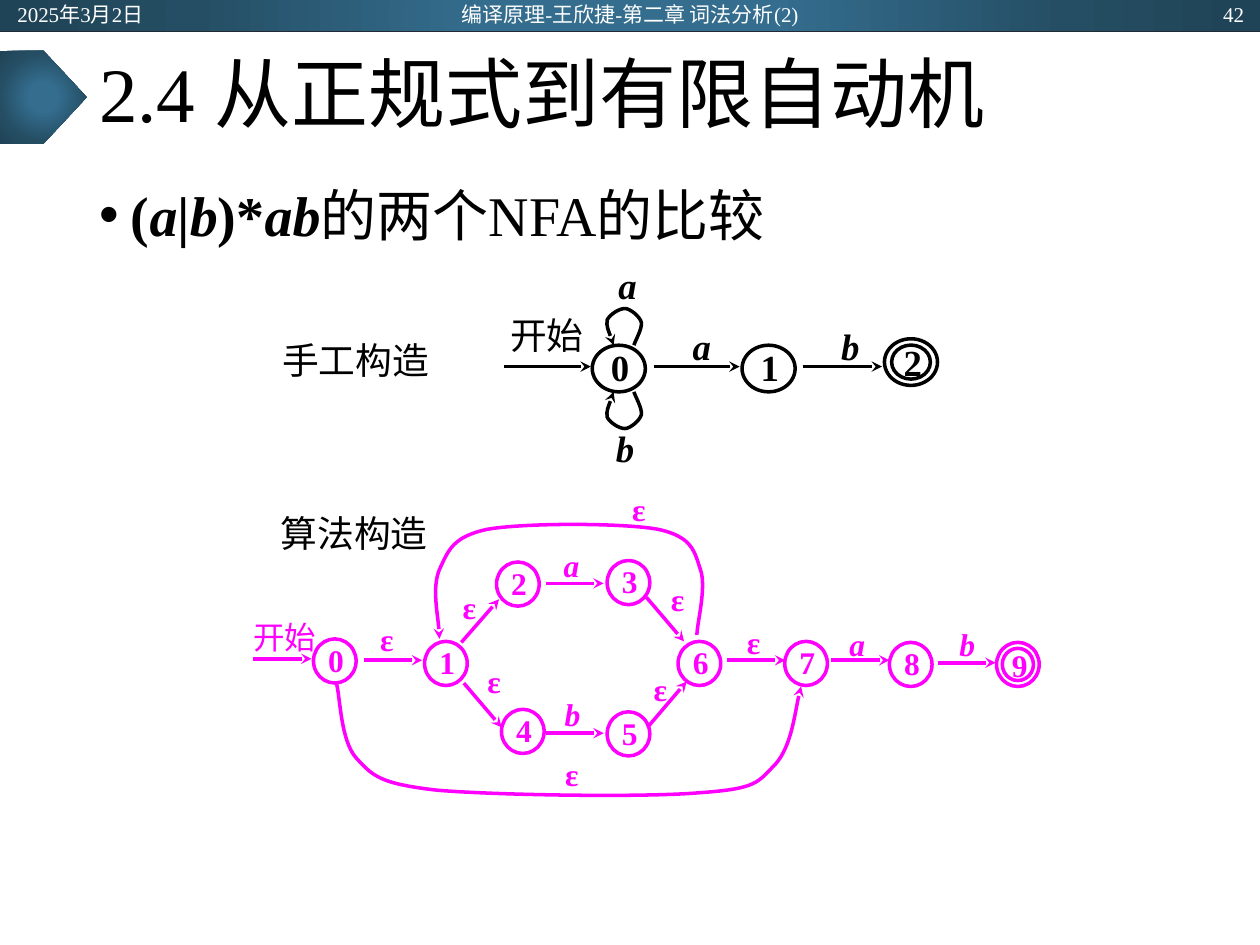
from dataclasses import dataclass

from lxml.etree import SubElement
from pptx import Presentation
from pptx.dml.color import RGBColor
from pptx.enum.shapes import MSO_CONNECTOR as Connector, MSO_SHAPE as Preset
from pptx.enum.text import MSO_ANCHOR as Anchor, PP_ALIGN as Align
from pptx.oxml import parse_xml
from pptx.oxml.ns import nsdecls, qn
from pptx.util import Cm, Pt


@dataclass(frozen=True)
class Theme:
    font: str = "Times New Roman"
    ink: str = "000000"
    light: str = "FFFFFF"
    accent: str = "FF00FF"
    rule: str = "222A35"
    gradient: tuple = ((0, "346D8E"), (23, "346D8E"), (69, "254E64"), (97, "204457"))
    title: int = 44
    body: int = 32
    large: int = 21
    medium: int = 18
    small: int = 12
    stroke: float = 2
    hairline: float = 0.5


THEME = Theme()
BOX_INSETS = (0.25, 0.13, 0.25, 0.13)
LABEL_INSETS = (0.1, 0.05, 0.1, 0.05)
STATE_INSETS = (0.1, 0.05, 0.05, 0.1)
FINAL_INSETS = (0.1, 0, 0.03, 0)
INNER_RATIO = 0.73


def add_span(para, text, size, color=THEME.ink, bold=False, italic=False):
    span = para.add_run()
    span.text = text
    font = span.font
    font.name, font.size, font.bold, font.italic = THEME.font, Pt(size), bold, italic
    font.color.rgb = RGBColor.from_string(color)


class SlideBuilder:
    """Draws the elements of the current slide in one style."""

    def __init__(self, slide):
        self.slide = slide
        self.shapes = slide.shapes
        self.color, self.size = THEME.ink, THEME.large

    def start_diagram(self, color, size):
        self.color, self.size = color, size
        self.shapes = self.slide.shapes.add_group_shape().shapes

    def end_diagram(self):
        self.shapes = self.slide.shapes
        self.color, self.size = THEME.ink, THEME.large

    def frame(self, shape, insets, anchor, align):
        frame = shape.text_frame
        frame.word_wrap = True
        frame.vertical_anchor = anchor
        (frame.margin_left, frame.margin_top,
         frame.margin_right, frame.margin_bottom) = map(Cm, insets)
        para = frame.paragraphs[0]
        para.alignment = align
        return para

    def text(self, area, spans=(), insets=BOX_INSETS, anchor=Anchor.MIDDLE,
             align=Align.LEFT, **style):
        box = self.shapes.add_textbox(*map(Cm, area))
        para = self.frame(box, insets, anchor, align)
        for words in [spans] if isinstance(spans, str) else spans:
            add_span(para, words, **style)
        return para

    def label(self, words, left, top, width, height, **style):
        self.text((left, top, width, height), words, LABEL_INSETS, align=Align.CENTER,
                  size=self.size, color=self.color, **style)

    def gradient(self, preset, area):
        shape = self.shapes.add_shape(preset, *map(Cm, area))
        shape.shadow.inherit = False
        shape.line.fill.background()
        shape.fill.background()
        stops = "".join(f'<a:gs pos="{place * 1000}"><a:srgbClr val="{color}"/></a:gs>'
                        for place, color in THEME.gradient)
        fill = parse_xml(
            f'<a:gradFill {nsdecls("a")} rotWithShape="1"><a:gsLst>{stops}</a:gsLst>'
            '<a:path path="circle"><a:fillToRect l="50000" t="50000" r="50000" b="50000"/>'
            '</a:path></a:gradFill>')
        properties = shape.element.spPr
        properties.replace(properties.find(qn("a:noFill")), fill)

    def stroke(self, shape, color, width=THEME.stroke, arrow=False):
        shape.line.color.rgb = RGBColor.from_string(color)
        shape.line.width = Pt(width)
        if arrow:
            SubElement(shape.element.spPr.find(qn("a:ln")), qn("a:tailEnd"), type="stealth")

    def line(self, start, end, color, width):
        line = self.shapes.add_connector(Connector.STRAIGHT, *map(Cm, (*start, *end)))
        self.stroke(line, color, width)
        SubElement(line.element.spPr, qn("a:effectLst"))
        return line

    def arrow(self, start, end):
        line = self.line(start, end, self.color, THEME.stroke)
        SubElement(line.element.spPr.find(qn("a:ln")), qn("a:tailEnd"), type="stealth")

    def curve(self, points):
        start, *rest = [(Cm(x), Cm(y)) for x, y in points]
        builder = self.shapes.build_freeform(*start)
        builder.add_line_segments(rest, close=False)
        shape = builder.convert_to_shape()
        shape.shadow.inherit = False
        shape.fill.background()
        self.stroke(shape, self.color, arrow=True)
        outline = next(shape.element.iter(qn("a:path")))
        segments = outline.findall(qn("a:lnTo"))
        for first in range(0, len(segments), 3):
            bezier = SubElement(outline, qn("a:cubicBezTo"))
            for segment in segments[first:first + 3]:
                bezier.append(segment[0])
                outline.remove(segment)

    def ellipse(self, left, top, width, height):
        shape = self.shapes.add_shape(Preset.OVAL, *map(Cm, (left, top, width, height)))
        shape.shadow.inherit = False
        shape.fill.background()
        self.stroke(shape, self.color)
        return shape

    def state(self, name, left, top, width, height, final=False):
        shape = self.ellipse(left, top, width, height)
        if final:
            margin = (1 - INNER_RATIO) / 2
            shape = self.ellipse(left + width * margin, top + height * margin,
                                 width * INNER_RATIO, height * INNER_RATIO)
        insets = FINAL_INSETS if final else STATE_INSETS
        para = self.frame(shape, insets, Anchor.MIDDLE, Align.CENTER)
        add_span(para, name, self.size, self.color, bold=True)


def draw_headings(page):
    page.gradient(Preset.RECTANGLE, (0, 0, 25.4, 0.64))
    page.line((0, 0.64), (25.4, 0.64), THEME.rule, THEME.hairline)
    page.gradient(Preset.PENTAGON, (0, 1.02, 1.75, 1.88))
    title = page.text((1.75, 0.64, 21.9, 2.64), "2.4 从正规式到有限自动机", size=THEME.title)
    title.line_spacing = 0.9
    body = page.text((1.75, 3.5, 21.9, 13.66), anchor=Anchor.TOP)
    properties = body._p.get_or_add_pPr()
    properties.set("marL", str(Cm(0.64)))
    properties.set("indent", str(Cm(-0.64)))
    SubElement(properties, qn("a:buFont"), typeface="Arial")
    SubElement(properties, qn("a:buChar"), char="•")
    for words, italic in (("(", False), ("a", True), ("|", False), ("b", True),
                          (")*", False), ("ab", True)):
        add_span(body, words, THEME.body, bold=True, italic=italic)
    add_span(body, "的两个NFA的比较", THEME.body)
    for words, left, width, align in (
            ("2025年3月2日", 0.1, 5.72, Align.LEFT),
            ("编译原理-王欣捷-第二章 词法分析(2)", 8.41, 8.58, Align.CENTER),
            ("42", 19.61, 5.72, Align.RIGHT)):
        page.text((left, 0.03, width, 0.51), words, align=align,
                  size=THEME.small, color=THEME.light)
    for words, left, top in (("手工构造", 5.59, 6.76), ("算法构造", 5.56, 10.24)):
        page.text((left, top, 3.51, 1.02), words, LABEL_INSETS, Anchor.TOP,
                  Align.JUSTIFY, size=THEME.large)


def draw_manual(page):
    page.start_diagram(THEME.ink, THEME.large)
    for name, left, top in (("0", 11.94, 6.96), ("1", 14.96, 6.96), ("2", 17.83, 6.83)):
        page.state(name, left, top, 1.07, 0.94, final=name == "2")
    for start, end in ((10.16, 11.91), (13.18, 14.91), (16.18, 17.78)):
        page.arrow((start, 7.39), (end, 7.39))
    loop = [(12.78, 6.96), (12.8, 6.88), (12.95, 6.63), (12.93, 6.5), (12.9, 6.38),
            (12.7, 6.22), (12.6, 6.22), (12.47, 6.22), (12.29, 6.35), (12.24, 6.45),
            (12.22, 6.58), (12.34, 6.86), (12.37, 6.96)]
    page.curve(loop)
    page.curve([(x, 14.86 - y) for x, y in loop])
    page.label("开始", 10.16, 6.3, 1.73, 0.89)
    for words, left, top in (("a", 13.72, 6.6), ("a", 12.22, 5.36),
                             ("b", 12.17, 8.64), ("b", 16.71, 6.6)):
        page.label(words, left, top, 0.86, 0.76, bold=True, italic=True)
    page.end_diagram()


def draw_algorithmic(page):
    page.start_diagram(THEME.accent, THEME.medium)
    places = ((6.32, 12.88), (8.56, 12.93), (10.01, 11.33), (12.24, 11.3), (10.11, 14.3),
              (12.24, 14.35), (13.67, 12.93), (15.82, 12.93), (17.93, 12.95), (20.09, 12.95))
    for number, (left, top) in enumerate(places):
        page.state(str(number), left, top, 0.86, 0.89, final=number == 9)
    for x, y in ((5.11, 13.28), (7.34, 13.31), (11, 11.76), (11, 14.78),
                 (14.66, 13.31), (16.76, 13.31), (18.9, 13.36)):
        page.arrow((x, y), (x + 1.17, y))
    for x, y, drop in ((9.3, 12.95, -0.87), (9.35, 13.77, 0.89),
                       (13.03, 12.04, 0.89), (13.08, 14.63, -0.89)):
        page.arrow((x, y), (x + 0.76, y + drop))
    page.curve([(6.78, 13.77), (6.86, 14.02), (6.86, 14.94), (7.19, 15.29), (7.52, 15.65),
                (7.67, 15.8), (8.81, 15.93), (9.98, 16.03), (13, 16.08), (14.12, 15.98),
                (15.27, 15.9), (15.27, 15.77), (15.62, 15.42), (15.95, 15.06),
                (16.05, 14.17), (16.15, 13.84)])
    page.curve([(14.05, 12.8), (14.05, 12.57), (14.25, 11.84), (14.12, 11.48), (14, 11.13),
                (13.97, 10.82), (13.26, 10.67), (12.55, 10.54), (10.57, 10.54), (9.83, 10.67),
                (9.12, 10.82), (9.04, 11.1), (8.86, 11.48), (8.71, 11.84),
                (8.86, 12.57), (8.86, 12.88)])
    page.label("开始", 4.65, 12.42, 2.18, 0.84)
    for words, left, top in (
            ("ε", 7.42, 12.52), ("ε", 9.08, 11.86), ("ε", 9.58, 13.36), ("ε", 13.28, 11.71),
            ("ε", 12.93, 13.51), ("ε", 11.15, 15.24), ("ε", 14.81, 12.57), ("ε", 12.5, 9.88),
            ("a", 11.14, 11.02), ("b", 11.16, 14.02), ("a", 16.9, 12.62), ("b", 19.12, 12.62)):
        page.label(words, left, top, 0.76, 0.74, bold=True, italic=words != "ε")
    page.end_diagram()


def main():
    deck = Presentation()
    deck.slide_width, deck.slide_height = Cm(25.4), Cm(19.05)
    page = SlideBuilder(deck.slides.add_slide(deck.slide_layouts[6]))
    draw_headings(page)
    draw_manual(page)
    draw_algorithmic(page)
    deck.save("out.pptx")


if __name__ == "__main__":
    main()
